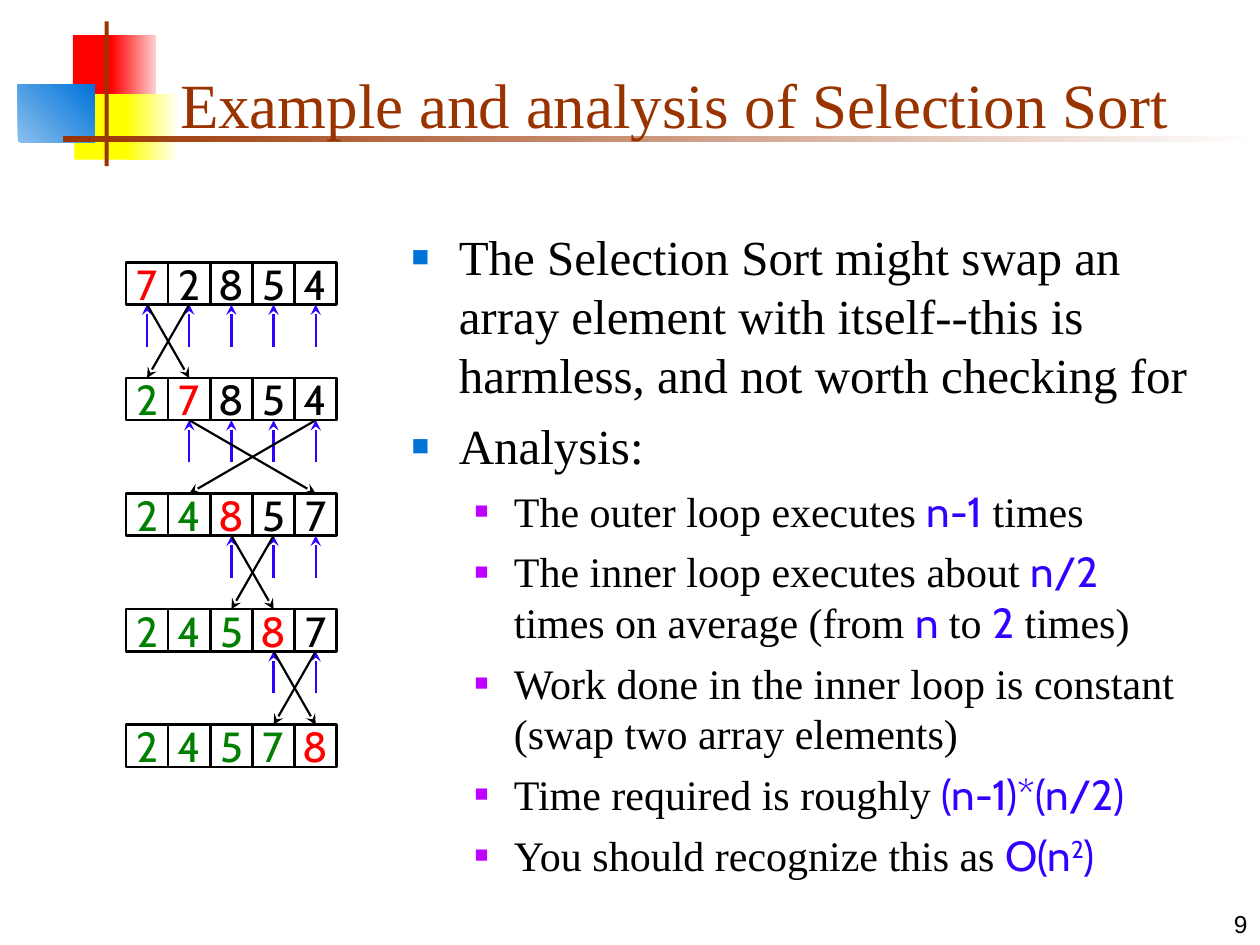
"""Build a slide that shows and analyses Selection Sort."""
from lxml.etree import SubElement
from pptx import Presentation
from pptx.dml.color import RGBColor
from pptx.enum.shapes import MSO_CONNECTOR, MSO_SHAPE
from pptx.enum.text import MSO_ANCHOR, PP_ALIGN
from pptx.oxml.ns import qn
from pptx.util import Cm, Pt

BLACK = RGBColor(0x00, 0x00, 0x00)
WHITE = RGBColor(0xFF, 0xFF, 0xFF)
RED = RGBColor(0xFF, 0x00, 0x00)
PINK = RGBColor(0xFF, 0xD1, 0xD1)
YELLOW = RGBColor(0xFF, 0xFF, 0x00)
IVORY = RGBColor(0xFF, 0xFF, 0xF0)
SKY = RGBColor(0x8B, 0xBF, 0xEE)
BLUE = RGBColor(0x00, 0x73, 0xD9)
BROWN = RGBColor(0x99, 0x33, 0x00)
INDIGO = RGBColor(0x33, 0x00, 0xFF)
PURPLE = RGBColor(0xBF, 0x00, 0xFF)
GREEN = RGBColor(0x00, 0x7F, 0x00)

SERIF, ROUNDED, SANS = "Times New Roman", "Cabin", "Arial"

TITLE = "Example and analysis of Selection Sort"
PAGE_NUMBER = "9"

DECORATION = [
    ((1.47, 0.71, 0.89, 1.32), (RED,), 0),
    ((2.24, 0.71, 0.91, 1.32), (RED, PINK), 0),
    ((1.5, 1.9, 1.17, 1.32), (YELLOW,), 0),
    ((2.54, 1.9, 1.02, 1.32), (YELLOW, IVORY), 0),
    ((0.36, 1.7, 1.55, 1.17), (SKY, BLUE), 45),
    ((2.11, 0.43, 0.08, 2.92), (BROWN,), 0),
    ((1.27, 2.74, 24.13, 0.13), (BROWN, WHITE), 0),
]

PLAIN = {"name": SERIF, "color": BLACK}
MATH = {"name": ROUNDED, "color": INDIGO}
POWER = {**MATH, "baseline": "30000"}

LEVELS = [
    {"size": 28, "before": 7, "margin": 0.95, "hang": 0.95, "color": BLUE, "scale": 60},
    {"size": 24, "before": 6, "margin": 2.06, "hang": 0.79, "color": PURPLE, "scale": 55},
]

BULLETS = [
    (0, [("The Selection Sort might swap an array element with itself--this is "
          "harmless, and not worth checking for", PLAIN)]),
    (0, [("Analysis:", PLAIN)]),
    (1, [("The outer loop executes ", PLAIN), ("n-1", MATH), (" times", PLAIN)]),
    (1, [("The inner loop executes about ", PLAIN), ("n/2", MATH),
         (" times on average (from ", PLAIN), ("n", MATH), (" to ", PLAIN),
         ("2", MATH), (" times)", PLAIN)]),
    (1, [("Work done in the inner loop is constant (swap two array elements)", PLAIN)]),
    (1, [("Time required is roughly ", PLAIN), ("(n-1)*(n/2)", MATH)]),
    (1, [("You should recognize this as ", PLAIN), ("O(n", MATH), ("2", POWER), (")", MATH)]),
]

PASSES = ["72854", "27854", "24857", "24587", "24578"]
SWAPS = [(0, 1), (1, 4), (2, 3), (3, 4)]

GRID_LEFT, GRID_TOP = 2.54, 5.29
CELL, PASS_STEP = 0.85, 2.33


def lengths(values):
    return [Cm(value) for value in values]


def add_span(para, text, size, style):
    span = para.add_run()
    span.text = text
    for name, value in {"size": Pt(size), "name": style["name"]}.items():
        setattr(span.font, name, value)
    span.font.color.rgb = style["color"]
    if "baseline" in style:
        span._r.get_or_add_rPr().set("baseline", style["baseline"])


def add_decoration(page, place, colors, angle):
    block = page.shapes.add_shape(MSO_SHAPE.RECTANGLE, *lengths(place))
    block.shadow.inherit = False
    block.line.fill.background()
    if len(colors) == 1:
        block.fill.solid()
        block.fill.fore_color.rgb = colors[0]
        return
    block.fill.gradient()
    block.fill.gradient_angle = angle
    for stop, color in zip(block.fill.gradient_stops, colors):
        stop.color.rgb = color


def add_text_box(page, place, anchor):
    frame = page.shapes.add_textbox(*lengths(place)).text_frame
    for name, value in {"word_wrap": True, "vertical_anchor": anchor}.items():
        setattr(frame, name, value)
    return frame


def add_bullet(para, level):
    look = LEVELS[level]
    para.level = level
    properties = para._p.get_or_add_pPr()
    properties.set("marL", str(Cm(look["margin"])))
    properties.set("indent", str(-Cm(look["hang"])))
    color = SubElement(properties, qn("a:buClr"))
    SubElement(color, qn("a:srgbClr"), val=str(look["color"]))
    SubElement(properties, qn("a:buSzPct"), val=str(look["scale"] * 1000))
    SubElement(properties, qn("a:buFont"), typeface=SANS)
    SubElement(properties, qn("a:buChar"), char="■")


def add_bullets(page):
    frame = add_text_box(page, (8.05, 4.45, 16.31, 13.54), MSO_ANCHOR.TOP)
    for index, (level, spans) in enumerate(BULLETS):
        para = frame.add_paragraph() if index else frame.paragraphs[0]
        add_bullet(para, level)
        para.space_before = Pt(LEVELS[level]["before"] if index else 0)
        for text, style in spans:
            add_span(para, text, LEVELS[level]["size"], style)


def add_cell(page, row, column, digit):
    place = (GRID_LEFT + column * CELL, GRID_TOP + row * PASS_STEP, CELL, CELL)
    box = page.shapes.add_shape(MSO_SHAPE.FLOWCHART_PROCESS, *lengths(place))
    box.shadow.inherit = False
    box.fill.background()
    box.line.color.rgb = BLACK
    box.line.width = Pt(1.5)
    frame = box.text_frame
    for name, value in {"word_wrap": False, "vertical_anchor": MSO_ANCHOR.MIDDLE}.items():
        setattr(frame, name, value)
    para = frame.paragraphs[0]
    para.alignment = PP_ALIGN.CENTER
    color = GREEN if column < row else RED if column == row else BLACK
    add_span(para, digit, 24, {"name": ROUNDED, "color": color})
    return box


def add_arrow(page, color, start=(0, 0)):
    arrow = page.shapes.add_connector(MSO_CONNECTOR.STRAIGHT, *start, *start)
    arrow.line.color.rgb = color
    arrow.line.width = Pt(1.25)
    SubElement(arrow.line._get_or_add_ln(), qn("a:tailEnd"), type="stealth")
    SubElement(arrow._element.spPr, qn("a:effectLst"))
    return arrow


def add_sort(page):
    grid = [[add_cell(page, row, column, digit) for column, digit in enumerate(digits)]
            for row, digits in enumerate(PASSES)]
    for row, (first, second) in enumerate(SWAPS):
        for cell in grid[row][row:]:
            foot = (cell.left + cell.width // 2, cell.top + 2 * cell.height)
            add_arrow(page, INDIGO, foot).end_connect(cell, 2)
        for source, target in ((first, second), (second, first)):
            arrow = add_arrow(page, BLACK)
            arrow.begin_connect(grid[row][source], 2)
            arrow.end_connect(grid[row + 1][target], 0)


def main():
    deck = Presentation()
    deck.slide_width, deck.slide_height = Cm(25.4), Cm(19.05)
    page = deck.slides.add_slide(deck.slide_layouts[6])
    for place, colors, angle in DECORATION:
        add_decoration(page, place, colors, angle)
    number = add_text_box(page, (20.12, 17.78, 5.28, 1.27), MSO_ANCHOR.BOTTOM).paragraphs[0]
    number.alignment = PP_ALIGN.RIGHT
    add_span(number, PAGE_NUMBER, 14, {"name": SANS, "color": BLACK})
    title = add_text_box(page, (3.38, 0.64, 21.64, 2.34), MSO_ANCHOR.BOTTOM).paragraphs[0]
    add_span(title, TITLE, 36, {"name": SERIF, "color": BROWN})
    add_bullets(page)
    add_sort(page)
    deck.save("out.pptx")


if __name__ == "__main__":
    main()
